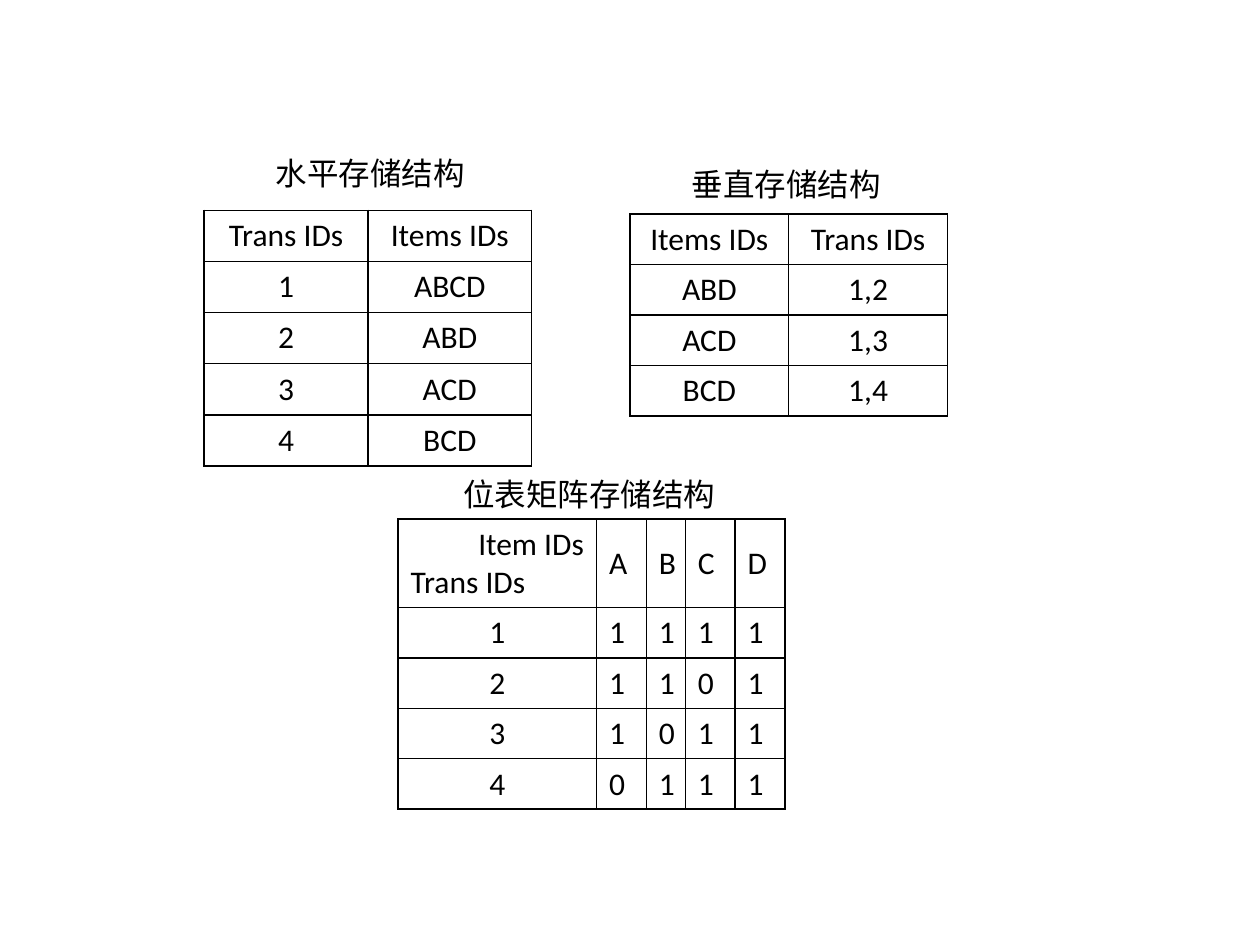
from dataclasses import dataclass

import lxml.etree
import pptx
import pptx.dml.color
import pptx.enum.text
import pptx.oxml.ns
import pptx.util

COLORS = {"ink": "000000", "paper": "FFFFFF"}
FONT = "Calibri"
GRID_COLUMNS, GRID_ROWS = 100, 75
ROW_HEIGHT = 4
ALIGN = pptx.enum.text.PP_ALIGN

deck = pptx.Presentation()
deck.slide_width = pptx.util.Inches(10)
deck.slide_height = pptx.util.Inches(7.5)
slide = deck.slides.add_slide(deck.slide_layouts[6])


@dataclass
class Caption:
    text: str
    left: float
    top: float
    width: float


@dataclass
class Structure:
    caption: Caption
    left: float
    top: float
    columns: list[float]
    rows: list[list[str]]
    header_height: float = ROW_HEIGHT
    body_align: ALIGN = ALIGN.CENTER


def across(columns: float) -> int:
    return round(deck.slide_width * columns / GRID_COLUMNS)


def down(rows: float) -> int:
    return round(deck.slide_height * rows / GRID_ROWS)


def style_paragraph(paragraph, align: ALIGN) -> None:
    paragraph.alignment = align
    paragraph.font.name = FONT
    paragraph.font.size = pptx.util.Pt(18)
    paragraph.font.color.rgb = pptx.dml.color.RGBColor.from_string(COLORS["ink"])


def add_borders(cell) -> None:
    qn = pptx.oxml.ns.qn
    properties = cell._tc.get_or_add_tcPr()
    for side in ("lnL", "lnR", "lnT", "lnB"):
        line = lxml.etree.SubElement(properties, qn(f"a:{side}"), w=str(pptx.util.Pt(1)))
        fill = lxml.etree.SubElement(line, qn("a:solidFill"))
        lxml.etree.SubElement(fill, qn("a:srgbClr"), val=COLORS["ink"])


def fill_cell(cell, text: str, aligns: list[ALIGN]) -> None:
    add_borders(cell)
    cell.fill.background()
    cell.vertical_anchor = pptx.enum.text.MSO_ANCHOR.MIDDLE
    cell.text = text
    for paragraph, align in zip(cell.text_frame.paragraphs, aligns):
        style_paragraph(paragraph, align)


def draw_caption(caption: Caption) -> None:
    box = slide.shapes.add_textbox(
        across(caption.left), down(caption.top), across(caption.width), down(ROW_HEIGHT)
    )
    frame = box.text_frame
    frame.word_wrap = False
    frame.auto_size = pptx.enum.text.MSO_AUTO_SIZE.SHAPE_TO_FIT_TEXT
    frame.text = caption.text
    style_paragraph(frame.paragraphs[0], ALIGN.LEFT)


def draw_structure(structure: Structure) -> None:
    heights = [structure.header_height] + [ROW_HEIGHT] * (len(structure.rows) - 1)
    table = slide.shapes.add_table(
        len(heights),
        len(structure.columns),
        across(structure.left),
        down(structure.top),
        across(sum(structure.columns)),
        down(sum(heights)),
    ).table
    table.first_row = table.horz_banding = False
    for column, width in zip(table.columns, structure.columns):
        column.width = across(width)
    for row, height, texts in zip(table.rows, heights, structure.rows):
        row.height = down(height)
        for index, (cell, text) in enumerate(zip(row.cells, texts)):
            if "\n" in text:
                aligns = [ALIGN.RIGHT, ALIGN.LEFT]
            else:
                aligns = [structure.body_align if index else ALIGN.CENTER]
            fill_cell(cell, text, aligns)
    draw_caption(structure.caption)


STRUCTURES = [
    Structure(
        Caption("水平存储结构", 20.9, 11.7, 17.2),
        16.2, 16.7, [13, 13],
        [["Trans IDs", "Items IDs"], ["1", "ABCD"], ["2", "ABD"], ["3", "ACD"], ["4", "BCD"]],
    ),
    Structure(
        Caption("垂直存储结构", 53.9, 12.6, 17.2),
        50, 17, [12.6, 12.6],
        [["Items IDs", "Trans IDs"], ["ABD", "1,2"], ["ACD", "1,3"], ["BCD", "1,4"]],
    ),
    Structure(
        Caption("位表矩阵存储结构", 35.8, 37.2, 22.2),
        31.6, 41.2, [15.75, 3.95, 3.1, 3.95, 3.95],
        [["Item IDs\nTrans IDs", *"ABCD"], [*"11111"], [*"21101"], [*"31011"], [*"40111"]],
        header_height=7,
        body_align=ALIGN.LEFT,
    ),
]

slide.background.fill.solid()
slide.background.fill.fore_color.rgb = pptx.dml.color.RGBColor.from_string(COLORS["paper"])
for structure in STRUCTURES:
    draw_structure(structure)

deck.save("out.pptx")
